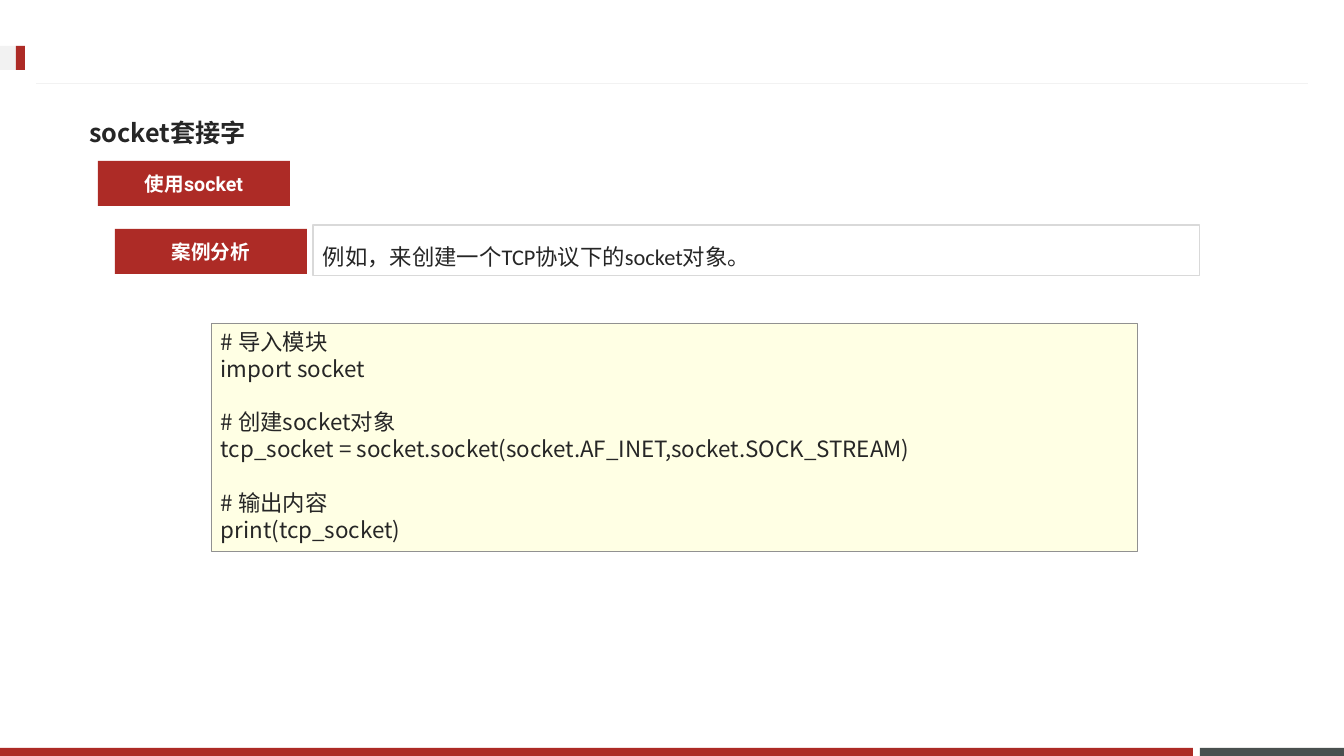
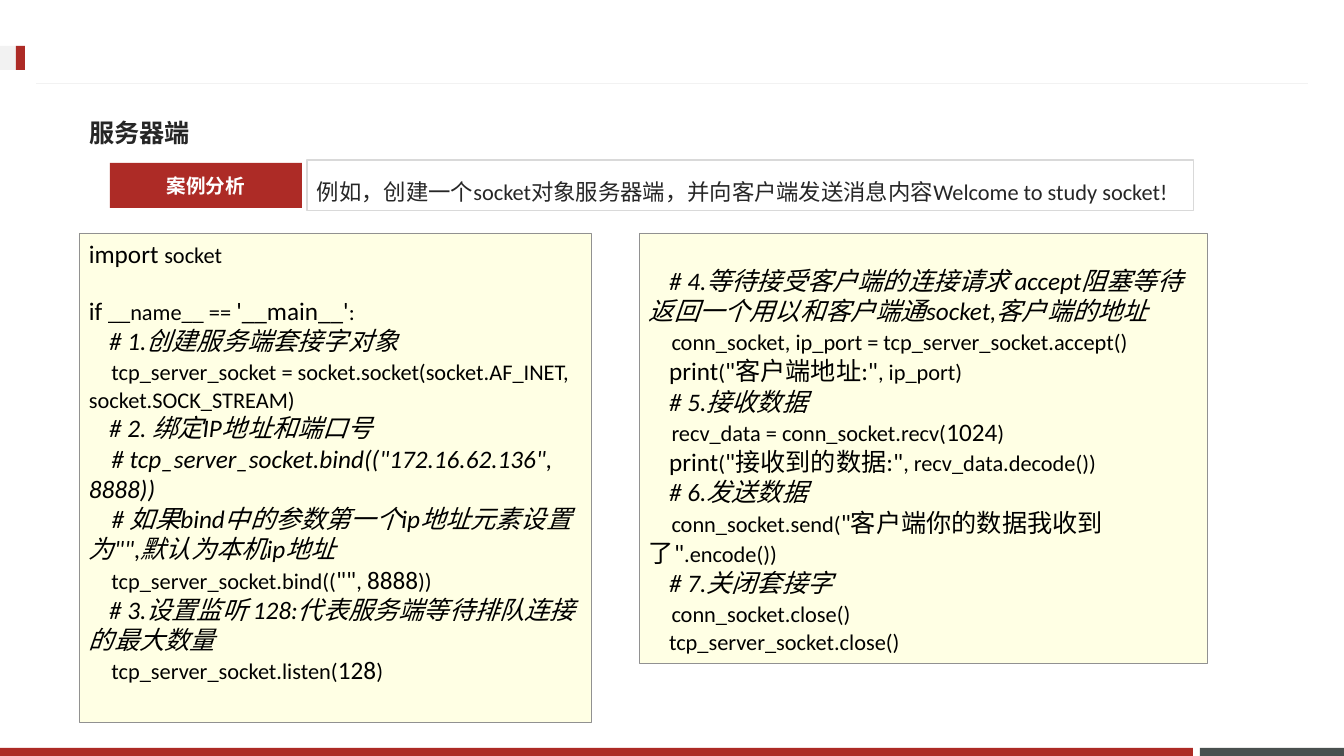
from lxml.etree import SubElement
from pptx import Presentation
from pptx.dml.color import RGBColor
from pptx.enum.shapes import MSO_CONNECTOR, MSO_SHAPE
from pptx.enum.text import MSO_ANCHOR as Anchor, MSO_AUTO_SIZE, PP_ALIGN as Align
from pptx.oxml.ns import qn
from pptx.util import Emu, Pt

COLORS = {
    "red": "AD2B26",
    "slate": "49504F",
    "pale": "F2F2F2",
    "frame": "D9D9D9",
    "code": "FFFFE4",
    "edge": "919191",
    "text": "262626",
    "white": "FFFFFF",
    "black": "000000",
}
CJK = "Noto Sans CJK JP"
LATIN = "Calibri"
LABEL = "Roboto"
SPAN_STYLES = {"plain": (16, False), "literal": (18, False), "comment": (18, True)}

SOCKET_CODE = [("plain", """# 导入模块
import socket

# 创建socket对象
tcp_socket = socket.socket(socket.AF_INET,socket.SOCK_STREAM)

# 输出内容
print(tcp_socket)""")]

LISTEN_CODE = [
    ("literal", "import "),
    ("plain", "socket\n\n"),
    ("literal", "if "),
    ("plain", "__name__ == "),
    ("literal", "'__main__'"),
    ("plain", ":\n    "),
    ("comment", "# 1.创建服务端套接字对象\n    "),
    ("plain", "tcp_server_socket = socket.socket(socket.AF_INET, socket.SOCK_STREAM)\n    "),
    ("comment", """# 2. 绑定IP地址和端口号
    # tcp_server_socket.bind(("172.16.62.136", 8888))
    # 如果bind中的参数第一个ip地址元素设置为"",默认为本机ip地址
    """),
    ("plain", "tcp_server_socket.bind(("),
    ("literal", '""'),
    ("plain", ", "),
    ("literal", "8888"),
    ("plain", "))\n    "),
    ("comment", "# 3.设置监听 128:代表服务端等待排队连接的最大数量\n    "),
    ("plain", "tcp_server_socket.listen("),
    ("literal", "128"),
    ("plain", ")"),
]

ACCEPT_CODE = [
    ("plain", "    "),
    ("comment", "# 4.等待接受客户端的连接请求 accept阻塞等待 返回一个用以和客户端通socket,客户端的地址\n    "),
    ("plain", "conn_socket, ip_port = tcp_server_socket.accept()\n    "),
    ("literal", "print"),
    ("plain", "("),
    ("literal", '"客户端地址:"'),
    ("plain", ", ip_port)\n    "),
    ("comment", "# 5.接收数据\n    "),
    ("plain", "recv_data = conn_socket.recv("),
    ("literal", "1024"),
    ("plain", ")\n    "),
    ("literal", "print"),
    ("plain", "("),
    ("literal", '"接收到的数据:"'),
    ("plain", ", recv_data.decode())\n    "),
    ("comment", "# 6.发送数据\n    "),
    ("plain", "conn_socket.send("),
    ("literal", '"客户端你的数据我收到了"'),
    ("plain", ".encode())\n    "),
    ("comment", "# 7.关闭套接字\n    "),
    ("plain", "conn_socket.close()\n    tcp_server_socket.close()"),
]


def px(length):
    return Emu(round(length * 914400 / 100.8))


def rgb(name):
    return RGBColor.from_string(COLORS[name])


class Lesson:
    def __init__(self):
        self.deck = Presentation()
        self.deck.slide_width, self.deck.slide_height = px(1344), px(756)
        self.page = None

    def new_page(self, title):
        self.page = self.deck.slides.add_slide(self.deck.slide_layouts[5])
        self.rect(1200, 748, 144, 8, "slate")
        self.rect(0, 748, 1193, 8, "red")
        self.rule(1308, 84, 36, 84)
        self.rect(0, 46, 25, 24, "pale")
        self.rect(16, 46, 9, 24, "red")
        box = self.page.shapes.title
        box.left, box.top, box.width, box.height = map(px, (79, 104, 1179, 57))
        frame = box.text_frame
        frame.auto_size = MSO_AUTO_SIZE.NONE
        frame.vertical_anchor = Anchor.MIDDLE
        frame.text = title
        para = frame.paragraphs[0]
        para.alignment = Align.LEFT
        self.set_font(para, CJK, 18, "text", True)

    def rect(self, left, top, width, height, fill=None, line=None, weight=0.75):
        box = self.page.shapes.add_shape(
            MSO_SHAPE.RECTANGLE, px(left), px(top), px(width), px(height))
        box.shadow.inherit = False
        if fill:
            box.fill.solid()
            box.fill.fore_color.rgb = rgb(fill)
        else:
            box.fill.background()
        if line:
            box.line.color.rgb = rgb(line)
            box.line.width = Pt(weight)
        else:
            box.line.fill.background()
        return box

    def rule(self, x1, y1, x2, y2):
        line = self.page.shapes.add_connector(
            MSO_CONNECTOR.STRAIGHT, px(x1), px(y1), px(x2), px(y2))
        line.line.color.rgb = rgb("pale")
        line.line.width = Pt(0.75)
        SubElement(line._element.spPr, qn("a:effectLst"))

    def set_font(self, para, name, size, color, bold=False):
        font = para.font
        font.name, font.size, font.bold = name, Pt(size), bold
        font.color.rgb = rgb(color)
        east_asian = SubElement(para._p.pPr.find(qn("a:defRPr")), qn("a:ea"))
        east_asian.set("typeface", CJK)

    def label(self, left, top, text):
        frame = self.rect(left, top, 192, 45, "red").text_frame
        frame.text = text
        para = frame.paragraphs[0]
        para.alignment = Align.CENTER
        self.set_font(para, LABEL, 14, "white", True)

    def example(self, left, top, text):
        frame = self.rect(left, top, 887, 51, line="frame").text_frame
        frame.vertical_anchor = Anchor.TOP
        frame.margin_right = 0
        frame.text = text
        para = frame.paragraphs[0]
        para.alignment = Align.LEFT
        para.line_spacing = 1.5
        self.set_font(para, LATIN, 16, "text")

    def code(self, left, top, width, height, spans, name=LATIN, color="black",
             inset=5, spacing=None):
        frame = self.rect(left, top, width, height, "code", "edge", 0.25).text_frame
        frame.vertical_anchor = Anchor.TOP
        frame.margin_top = px(inset)
        para = frame.paragraphs[0]
        para.alignment = Align.LEFT
        para.line_spacing = spacing
        self.set_font(para, name, 16, color)
        for style, text in spans:
            size, italic = SPAN_STYLES[style]
            for index, line in enumerate(text.split("\n")):
                if index:
                    para.add_line_break()
                if line:
                    span = para.add_run()
                    span.text = line
                    if style != "plain":
                        span.font.size = Pt(size)
                        span.font.italic = italic


def main():
    lesson = Lesson()
    lesson.new_page("socket套接字")
    lesson.label(98, 161, "使用socket")
    lesson.example(313, 225, "例如，来创建一个TCP协议下的socket对象。")
    lesson.label(115, 229, "案例分析")
    lesson.code(211, 323, 926, 228, SOCKET_CODE, CJK, "text", spacing=Pt(19.2))

    lesson.new_page("服务器端")
    lesson.example(307, 160, "例如，创建一个socket对象服务器端，并向客户端发送消息内容Welcome to study socket!")
    lesson.label(110, 163, "案例分析")
    lesson.code(79, 233, 512, 489, LISTEN_CODE)
    lesson.code(639, 233, 568, 430, ACCEPT_CODE, inset=32)
    lesson.deck.save("out.pptx")


if __name__ == "__main__":
    main()
